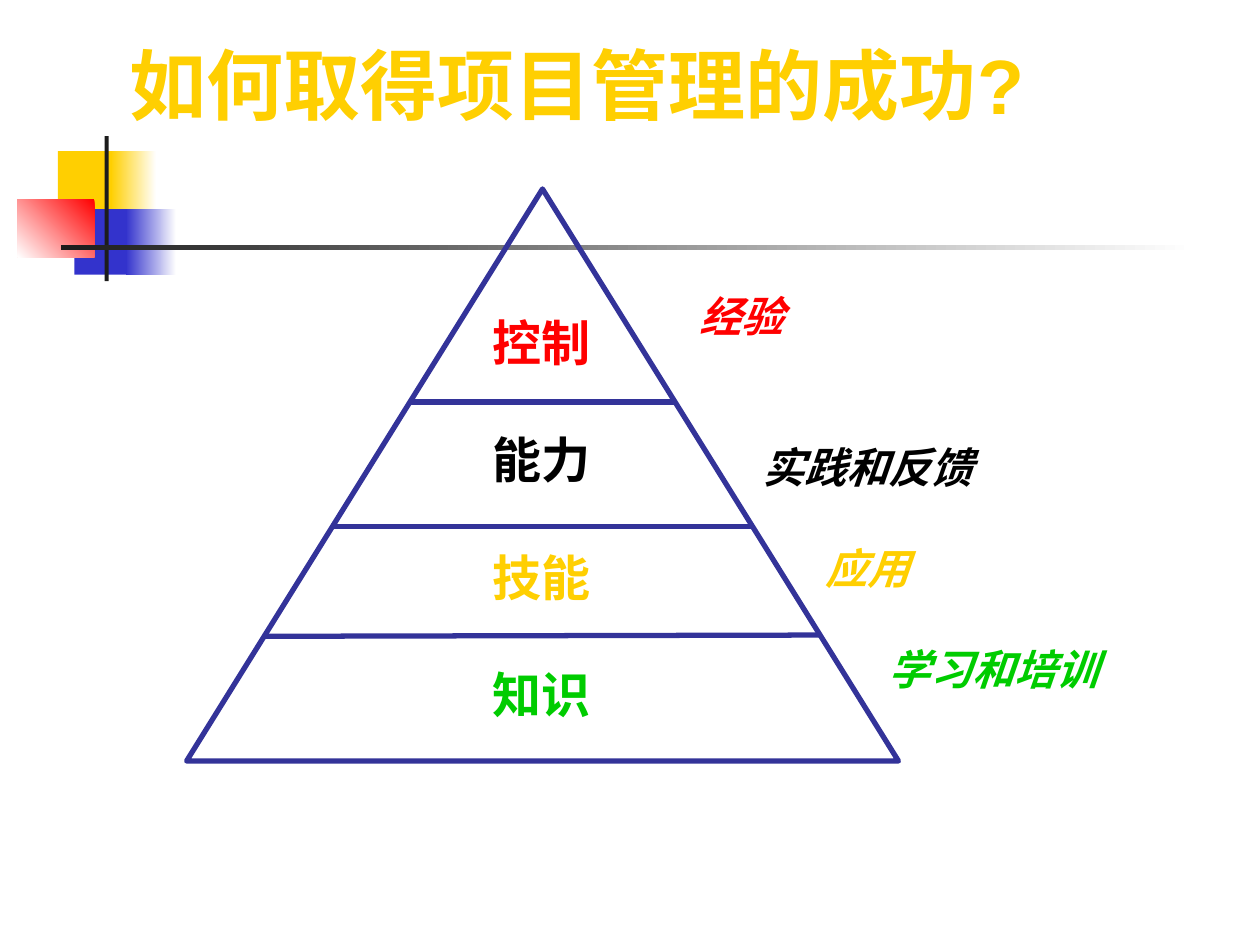
from lxml import etree
from pptx import Presentation
from pptx.dml.color import RGBColor
from pptx.enum import shapes, text
from pptx.oxml import ns
from pptx.util import Pt

WHITE = RGBColor(0xFF, 0xFF, 0xFF)
BLACK = RGBColor(0, 0, 0)
CHARCOAL = RGBColor(0x1C, 0x1C, 0x1C)
YELLOW = RGBColor(0xFF, 0xCF, 0x01)
BLUE = RGBColor(0x33, 0x33, 0xCC)
NAVY = RGBColor(0x33, 0x33, 0x99)
RED = RGBColor(0xFF, 0, 0)
GREEN = RGBColor(0, 0xCC, 0)

TITLE = "如何取得项目管理的成功?"
LEVELS = [
    ("控制", "经验", RED),
    ("能力", "实践和反馈", BLACK),
    ("技能", "应用", YELLOW),
    ("知识", "学习和培训", GREEN),
]
ORNAMENTS = [
    ((33.1, 86.4, 34.6, 37.4), [YELLOW], 0),
    ((63.4, 86.4, 25.9, 37.4), [WHITE, YELLOW], 180),
    ((42.5, 119.5, 33.1, 37.4), [BLUE], 0),
    ((72, 119.5, 28.8, 37.4), [WHITE, BLUE], 180),
    ((10, 113.8, 44, 33.1), [RED, WHITE], 225),
    ((59.8, 77.8, 2.3, 82.8), [CHARCOAL], 0),
    ((34.6, 140.2, 648, 2.4), [WHITE, CHARCOAL], 180),
]
PYRAMID = (106.6, 108, 406.8, 326.9)
DIVIDERS = [
    (151.2, 363.6, 468, 362.9),
    (234, 229.7, 385.2, 229.7),
    (190.1, 301, 429.8, 301),
]
LINE_FACTOR = 1.197
INDENT = Pt(36)


def add_plain(page, preset, area):
    shape = page.shapes.add_shape(preset, *map(Pt, area))
    shape.shadow.inherit = False
    return shape


def add_ornament(page, area, colors, angle):
    shape = add_plain(page, shapes.MSO_SHAPE.RECTANGLE, area)
    shape.line.fill.background()
    if len(colors) == 1:
        shape.fill.solid()
        shape.fill.fore_color.rgb = colors[0]
        return
    shape.fill.gradient()
    shape.fill.gradient_angle = angle
    for stop, color, position in zip(shape.fill.gradient_stops, colors, (0, 1)):
        stop.color.rgb = color
        stop.position = position


def add_divider(page, ends):
    line = page.shapes.add_connector(shapes.MSO_CONNECTOR.STRAIGHT, *map(Pt, ends))
    line.line.color.rgb = NAVY
    line.line.width = Pt(3)
    etree.SubElement(line._element.spPr, ns.qn("a:effectLst"))


def add_text(page, area, rows, font, size, align, italic=None, wrap=False):
    box = page.shapes.add_textbox(*map(Pt, area))
    frame = box.text_frame
    frame.word_wrap = wrap
    frame.margin_left = frame.margin_right = Pt(7.2 if wrap else 6.5)
    frame.margin_top = frame.margin_bottom = Pt(3.6)
    for index, (words, color, blank_lines, level) in enumerate(rows):
        para = frame.add_paragraph() if index else frame.paragraphs[0]
        para.text = words
        para.alignment = align
        if level:
            para.level = level
            para._p.get_or_add_pPr().set("marL", str(INDENT * level))
        if blank_lines:
            para.space_before = Pt(round(blank_lines * size * LINE_FACTOR, 1))
        para.font.name = font
        para.font.size = Pt(size)
        para.font.bold = True
        para.font.italic = italic
        para.font.color.rgb = color
    return frame


def main():
    deck = Presentation()
    deck.slide_width, deck.slide_height = Pt(720), Pt(540)
    page = deck.slides.add_slide(deck.slide_layouts[6])

    for ornament in ORNAMENTS:
        add_ornament(page, *ornament)

    pyramid = add_plain(page, shapes.MSO_SHAPE.ISOSCELES_TRIANGLE, PYRAMID)
    pyramid.fill.background()
    pyramid.line.color.rgb = NAVY
    pyramid.line.width = Pt(3)

    stages = [(stage, color, min(index, 1), 0)
              for index, (stage, _, color) in enumerate(LEVELS)]
    add_text(page, (275, 175, 69.1, 241.9), stages, "Times New Roman", 28,
             text.PP_ALIGN.CENTER)

    for ends in DIVIDERS:
        add_divider(page, ends)

    blanks = (0, 2, 1, 1)
    sources = [(source, color, blanks[index], index)
               for index, (_, source, color) in enumerate(LEVELS)]
    add_text(page, (393.1, 162.7, 241.2, 236.9), sources, "Times New Roman", 24,
             text.PP_ALIGN.LEFT, italic=True)

    title = add_text(page, (23.8, 0, 612, 95.8), [(TITLE, YELLOW, 0, 0)], "Arial", 44,
                     text.PP_ALIGN.CENTER, wrap=True)
    title.vertical_anchor = text.MSO_ANCHOR.MIDDLE

    deck.save("out.pptx")


if __name__ == "__main__":
    main()
